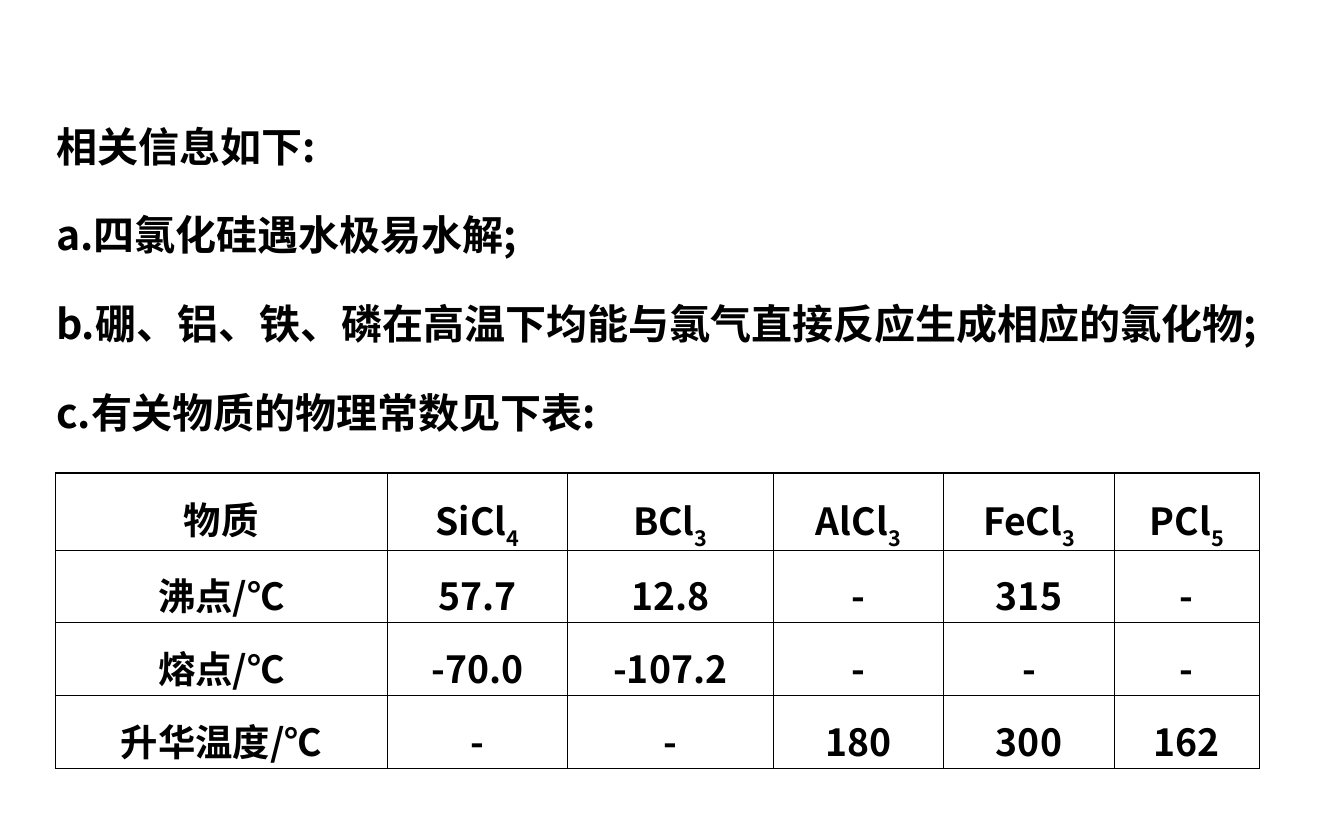
"""Build a slide of chemistry notes with a table of physical constants."""
from dataclasses import dataclass

from pptx import Presentation
from pptx import util as u
from pptx.dml.color import RGBColor
from pptx.enum import text
from pptx.oxml.ns import qn
from lxml import etree

COLORS = {"ink": "000000", "paper": "FFFFFF"}
FONT = "Noto Sans CJK SC"
THIN, THICK = 0.45, 0.96


@dataclass
class Box:
    left: float
    top: float
    width: float
    height: float

    def emu(self) -> list:
        return [u.Pt(v) for v in (self.left, self.top, self.width, self.height)]


@dataclass
class Label:
    base: str
    sub: str = ""


NOTES = [
    "相关信息如下:",
    "a.四氯化硅遇水极易水解;",
    "b.硼、铝、铁、磷在高温下均能与氯气直接反应生成相应的氯化物;",
    "c.有关物质的物理常数见下表:",
]
HEADER = [Label("物质"), Label("SiCl", "4"), Label("BCl", "3"),
          Label("AlCl", "3"), Label("FeCl", "3"), Label("PCl", "5")]
VALUES = [
    ["沸点/℃", "57.7", "12.8", "-", "315", "-"],
    ["熔点/℃", "-70.0", "-107.2", "-", "-", "-"],
    ["升华温度/℃", "-", "-", "180", "300", "162"],
]
ROWS = [HEADER] + [[Label(v) for v in row] for row in VALUES]
WIDTHS = [177.8, 96.5, 110.2, 91.4, 91.4, 77.7]
HEIGHTS = [41, 39, 39, 39]
NOTES_BOX = Box(23, 40.3, 679, 197.3)
TABLE_BOX = Box(29.7, 253.5, sum(WIDTHS), sum(HEIGHTS))


def add_run(p, content: str, size: float, subscript: bool = False) -> None:
    r = p.add_run()
    r.text = content
    for name, value in {"name": FONT, "size": u.Pt(size), "bold": True}.items():
        setattr(r.font, name, value)
    r.font.color.rgb = RGBColor.from_string(COLORS["ink"])
    rpr = r.font._element
    etree.SubElement(rpr, qn("a:ea"), typeface=FONT)
    if subscript:
        rpr.set("baseline", "-30000")


def add_notes(s, box: Box, lines: list[str]) -> None:
    tf = s.shapes.add_textbox(*box.emu()).text_frame
    formats = {"word_wrap": True, "auto_size": text.MSO_AUTO_SIZE.SHAPE_TO_FIT_TEXT}
    for name, value in formats.items():
        setattr(tf, name, value)
    for i, line in enumerate(lines):
        p = tf.add_paragraph() if i else tf.paragraphs[0]
        p.line_spacing = 1.8
        add_run(p, line, 22)


def set_borders(cell, widths: dict[str, float]) -> None:
    tcpr = cell._tc.get_or_add_tcPr()
    for side, width in widths.items():
        ln = etree.SubElement(tcpr, qn(f"a:ln{side}"), w=str(int(u.Pt(width))))
        fill = etree.SubElement(ln, qn("a:solidFill"))
        etree.SubElement(fill, qn("a:srgbClr"), val=COLORS["ink"])


def fill_cell(cell, label: Label) -> None:
    cell.vertical_anchor = text.MSO_ANCHOR.MIDDLE
    p = cell.text_frame.paragraphs[0]
    for name, value in {"alignment": text.PP_ALIGN.CENTER, "line_spacing": 1.2}.items():
        setattr(p, name, value)
    add_run(p, label.base, 20)
    if label.sub:
        add_run(p, label.sub, 20, subscript=True)


def add_constants(s, box: Box, rows: list[list[Label]]) -> None:
    last_row, last_col = len(rows) - 1, len(rows[0]) - 1
    table = s.shapes.add_table(last_row + 1, last_col + 1, *box.emu()).table
    for name in ("first_row", "horz_banding"):
        setattr(table, name, False)
    for column, width in zip(table.columns, WIDTHS):
        column.width = u.Pt(width)
    for row, height in zip(table.rows, HEIGHTS):
        row.height = u.Pt(height)
    for i, labels in enumerate(rows):
        for j, label in enumerate(labels):
            cell = table.cell(i, j)
            fill_cell(cell, label)
            outer = {"L": j == 0, "R": j == last_col, "T": i == 0, "B": i == last_row}
            set_borders(cell, {k: THICK if v else THIN for k, v in outer.items()})
            cell.fill.background()


def main() -> None:
    prs = Presentation()
    prs.slide_width, prs.slide_height = u.Pt(720), u.Pt(450)
    s = prs.slides.add_slide(prs.slide_layouts[6])
    s.background.fill.solid()
    s.background.fill.fore_color.rgb = RGBColor.from_string(COLORS["paper"])
    add_notes(s, NOTES_BOX, NOTES)
    add_constants(s, TABLE_BOX, ROWS)
    prs.save("out.pptx")


if __name__ == "__main__":
    main()
